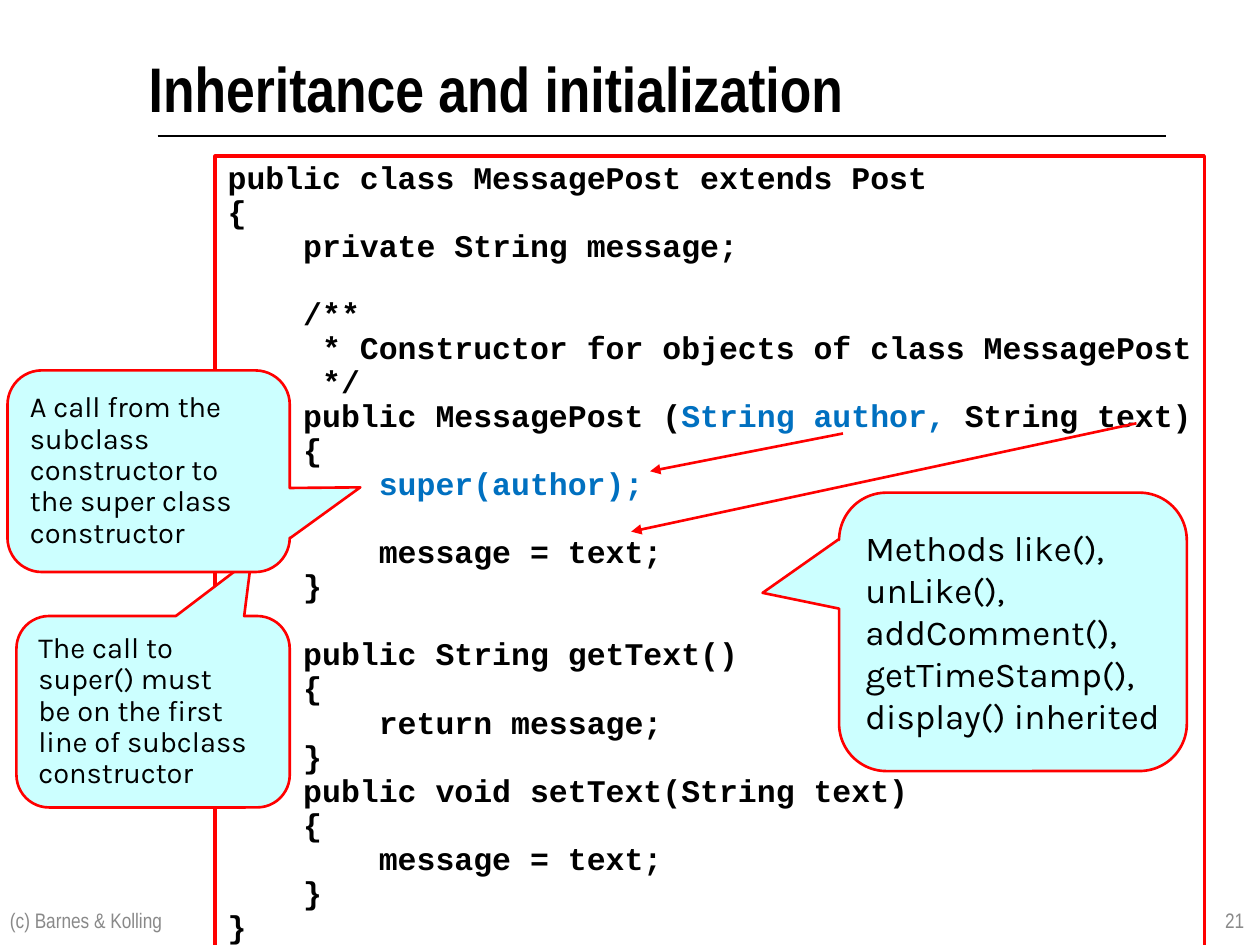
from dataclasses import dataclass
from lxml import etree
from pptx import Presentation
from pptx.dml.color import RGBColor
from pptx.enum.shapes import MSO_CONNECTOR as Link, MSO_SHAPE as Kind
from pptx.enum.text import MSO_ANCHOR as Anchor, MSO_AUTO_SIZE as Fit, PP_ALIGN as Align
from pptx.oxml.ns import qn
from pptx.util import Pt


@dataclass(frozen=True)
class Theme:
    ink: str = "000000"
    blue: str = "0070C0"
    red: str = "FF0000"
    pale: str = "CCFFFF"
    gray: str = "898989"
    head: str = "Arial Narrow"
    mono: str = "Courier New"
    body: str = "Karla"
    title: float = 36
    code: float = 18
    note: float = 16.6
    list: float = 20
    foot: float = 12


T = Theme()

# A bar switches the blue highlight on and off
CODE = """public class MessagePost extends Post
{
    private String message;

    /**
     * Constructor for objects of class MessagePost
     */
    public MessagePost (|String author,| String text)
    {
        |super(author);\v
        message = text;
    }

    public String getText()
    {
        return message;
    }
    public void setText(String text)
    {
        message = text;
    }
}"""


def write(shape, text, font, size, color=T.ink, bold=False, align=Align.LEFT,
          anchor=Anchor.TOP, gap=None, wrap=True, pad=(7.2, 3.6)):
    """Newlines part paragraphs, \\v breaks a line, | toggles the highlight."""
    frame = shape.text_frame
    frame.word_wrap, frame.vertical_anchor = wrap, anchor
    frame.margin_left = frame.margin_right = Pt(pad[0])
    frame.margin_top = frame.margin_bottom = Pt(pad[1])
    for i, line in enumerate(text.split("\n")):
        para = frame.add_paragraph() if i else frame.paragraphs[0]
        para.alignment = align
        if gap:
            para.line_spacing = gap
        for j, part in enumerate(line.split("|")):
            for k, piece in enumerate(part.split("\v")):
                if k:
                    para.add_line_break()
                run = para.add_run()
                run.text = piece
                look = run.font
                look.name, look.size, look.bold = font, Pt(size), bold
                look.color.rgb = RGBColor.from_string(T.blue if j % 2 else color)
    return frame


def label(slide, box, text, **form):
    return write(slide.shapes.add_textbox(*map(Pt, box)), text, T.head, **form)


def panel(slide, kind, box, width, fill=None):
    shape = slide.shapes.add_shape(kind, *map(Pt, box))
    shape.shadow.inherit = False
    if fill:
        shape.fill.solid()
        shape.fill.fore_color.rgb = RGBColor.from_string(fill)
    else:
        shape.fill.background()
    shape.line.color.rgb = RGBColor.from_string(T.red)
    shape.line.width = Pt(width)
    return shape


def line(slide, start, end, color, width, arrow=False):
    link = slide.shapes.add_connector(Link.STRAIGHT, *map(Pt, (*start, *end)))
    link.line.color.rgb = RGBColor.from_string(color)
    link.line.width = Pt(width)
    if arrow:
        tip = etree.SubElement(link.line._get_or_add_ln(), qn("a:tailEnd"))
        tip.set("type", "triangle")
    etree.SubElement(link._element.spPr, qn("a:effectLst"))


def header(slide, box):
    x, y, w, h = box
    line(slide, (x + 5, y + 49.7), (x + 581, y + 49.7), T.ink, 0.75)
    label(slide, box, "Inheritance and initialization", size=T.title,
          bold=True, pad=(0, 0))


def listing(slide, box):
    shape = panel(slide, Kind.RECTANGLE, box, 2)
    frame = write(shape, CODE, T.mono, T.code, bold=True, gap=0.9, wrap=False)
    frame.auto_size = Fit.SHAPE_TO_FIT_TEXT


def callout(slide, box, tip, text, size, gap=None):
    shape = panel(slide, Kind.ROUNDED_RECTANGULAR_CALLOUT, box, 1.5, T.pale)
    for i, value in enumerate((*tip, 0.17)):
        shape.adjustments[i] = value
    write(shape, text, T.body, size, anchor=Anchor.MIDDLE, gap=gap)


def footer(slide, box):
    x, y, w, h = box
    form = dict(size=T.foot, color=T.gray, anchor=Anchor.MIDDLE)
    label(slide, (x, y, 356.4, h), "(c) Barnes & Kolling", **form)
    label(slide, (x + w - 168, y, 168, h), "21", align=Align.RIGHT, **form)


def main():
    deck = Presentation()
    deck.slide_width, deck.slide_height = Pt(720), Pt(540)
    slide = deck.slides.add_slide(deck.slide_layouts[6])

    # Code and frame texts
    listing(slide, (123, 89.3, 565.2, 475.9))
    header(slide, (85, 28.1, 551, 54))
    footer(slide, (-1.4, 511.2, 719.4, 28.8))

    # Notes on the constructor call
    callout(slide, (9.4, 352, 156.2, 109.4), (0.36, -0.8),
            "The call to super() must \vbe on the first line of subclass constructor",
            T.note, 0.9)
    callout(slide, (4.3, 211.7, 161.3, 115.2), (0.75, 0.08),
            "A call from the subclass constructor to the super class constructor",
            T.note, 0.9)

    # Arrows from parameters to their use
    for start, end in (((481.7, 247.7), (371.5, 269.3)),
                       ((649.4, 241.9), (360.7, 303.8))):
        line(slide, start, end, T.red, 1.5, arrow=True)

    # Inherited methods
    callout(slide, (479.5, 281.5, 198.7, 159.1), (-0.72, -0.14),
            "Methods like(), unLike(),\naddComment(), getTimeStamp(),\n"
            "display() inherited", T.list)
    deck.save("out.pptx")


if __name__ == "__main__":
    main()
